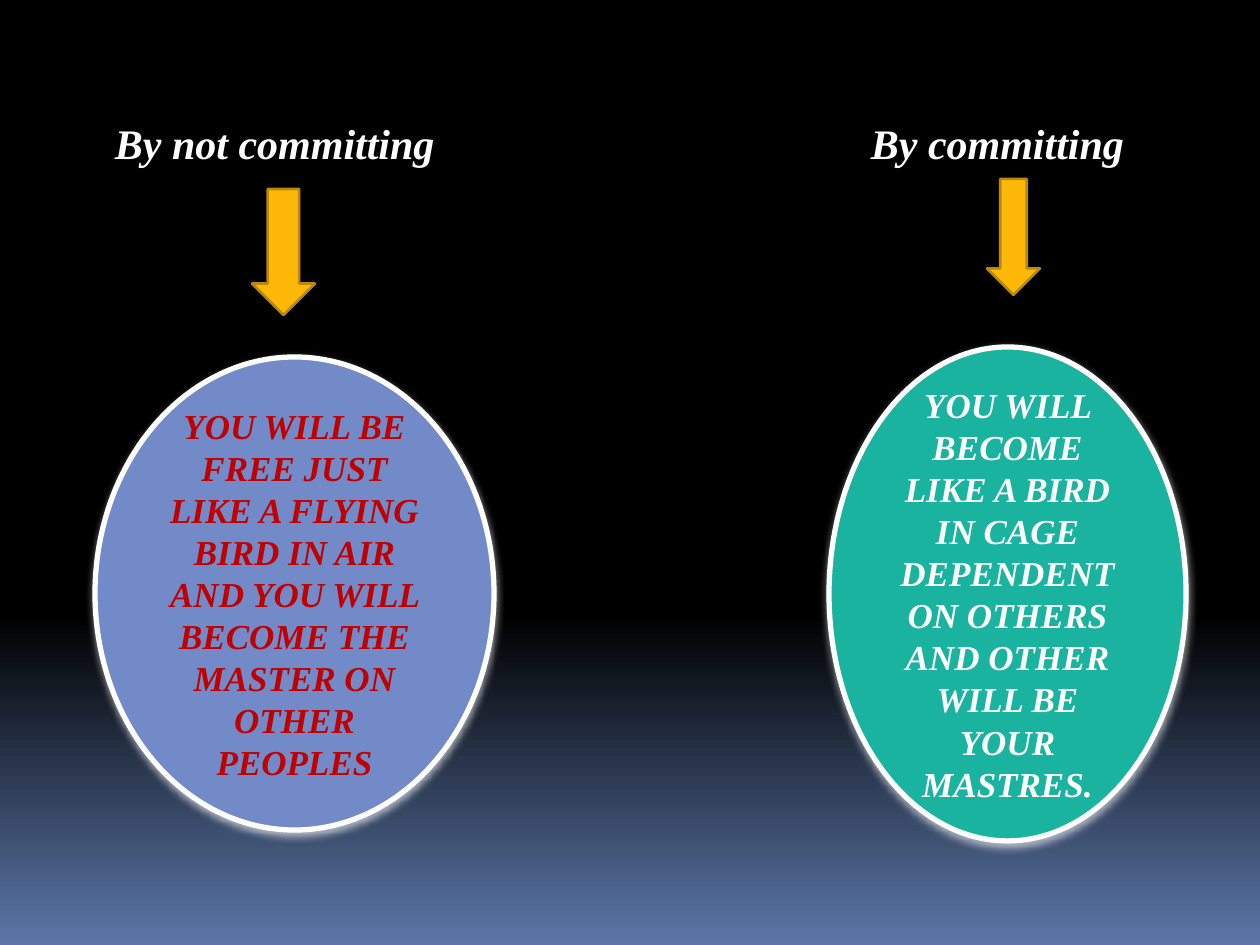
"""Build a slide that contrasts not committing with committing."""
from copy import deepcopy

from lxml.etree import SubElement
from pptx import Presentation
from pptx.dml.color import RGBColor
from pptx.enum.shapes import MSO_SHAPE
from pptx.enum.text import MSO_ANCHOR, PP_ALIGN
from pptx.oxml.ns import qn
from pptx.util import Emu, Pt

EMU_PER_PIXEL = 914400 / 126
BLACK = RGBColor(0x00, 0x00, 0x00)
WHITE = RGBColor(0xFF, 0xFF, 0xFF)
RED = RGBColor(0xC0, 0x00, 0x00)
NIGHT_BLUE = RGBColor(0x5B, 0x77, 0xA8)
PERIWINKLE = RGBColor(0x73, 0x8A, 0xC8)
TEAL = RGBColor(0x1A, 0xB3, 0x9F)
AMBER = RGBColor(0xFE, 0xB8, 0x0A)
DARK_AMBER = RGBColor(0xBC, 0x88, 0x07)

HEADING_BOX = (32, 95, 1176, 95)
HEADING_INDENT = 83
HEADING_TAB = 756
HEADING = "By not committing\tBy committing"
OUTCOMES = [
    ((95, 357, 399, 473), PERIWINKLE, RED,
     "YOU WILL BE FREE JUST LIKE A FLYING BIRD IN AIR AND YOU WILL "
     "BECOME THE MASTER ON OTHER PEOPLES"),
    ((829, 347, 357, 494), TEAL, WHITE,
     "YOU WILL BECOME LIKE A BIRD IN CAGE DEPENDENT ON OTHERS AND OTHER "
     "WILL BE YOUR MASTRES."),
]
ARROWS = [(987, 179, 53, 116), (252, 189, 63, 126)]


def px(length):
    """Turn pixels into EMU."""
    return Emu(round(length * EMU_PER_PIXEL))


def paint_background(slide):
    """Fade the background from black to blue in its lower third."""
    fill = slide.background.fill
    fill.gradient()
    fill.gradient_angle = 270
    first_stop = fill.gradient_stops[0]
    first_stop.color.rgb = BLACK
    first_stop.position = 0
    last_stop = fill.gradient_stops[1]
    last_stop.color.rgb = NIGHT_BLUE
    last_stop.position = 1
    stop_list = slide.background._cSld.find(".//" + qn("a:gsLst"))
    stop_list.insert(1, deepcopy(stop_list[0]))
    fill.gradient_stops[1].position = 0.65


def add_shape(slide, kind, box, fill_color, line_color, line_width):
    """Add a filled and outlined preset shape without a shadow."""
    shape = slide.shapes.add_shape(kind, *map(px, box))
    shape.shadow.inherit = False
    shape.fill.solid()
    shape.fill.fore_color.rgb = fill_color
    shape.line.color.rgb = line_color
    shape.line.width = Pt(line_width)
    return shape


def write_text(shape, text, size, color, alignment):
    """Write one bold italic paragraph in the middle of a shape."""
    frame = shape.text_frame
    frame.word_wrap = True
    frame.vertical_anchor = MSO_ANCHOR.MIDDLE
    paragraph = frame.paragraphs[0]
    paragraph.alignment = alignment
    run = paragraph.add_run()
    run.text = text
    font_format = {"name": "Times New Roman", "size": Pt(size),
                   "bold": True, "italic": True}
    for name, value in font_format.items():
        setattr(run.font, name, value)
    run.font.color.rgb = color
    return paragraph


def add_heading(slide):
    """Add the heading bar with its two titles set apart by a tab stop."""
    shape = add_shape(slide, MSO_SHAPE.RECTANGLE, HEADING_BOX, BLACK, BLACK, 1.5)
    shape.text_frame.margin_left = px(HEADING_INDENT)
    paragraph = write_text(shape, HEADING, 24, WHITE, PP_ALIGN.LEFT)
    tab_list = SubElement(paragraph._p.get_or_add_pPr(), qn("a:tabLst"))
    SubElement(tab_list, qn("a:tab"), pos=str(px(HEADING_TAB)), algn="l")


def add_halo(shape):
    """Add a soft white shadow around a shape."""
    effects = shape._element.spPr.find(qn("a:effectLst"))
    halo = SubElement(effects, qn("a:outerShdw"), blurRad="57150",
                      dist="19050", dir="5400000", algn="ctr", rotWithShape="0")
    color = SubElement(halo, qn("a:srgbClr"), val=str(WHITE))
    SubElement(color, qn("a:alpha"), val="60000")


def add_outcome(slide, box, fill_color, text_color, text):
    """Add an ellipse that tells what follows from a choice."""
    shape = add_shape(slide, MSO_SHAPE.OVAL, box, fill_color, WHITE, 3)
    add_halo(shape)
    write_text(shape, text, 20, text_color, PP_ALIGN.CENTER)


def main():
    """Build and save the presentation."""
    presentation = Presentation()
    presentation.slide_width = px(1260)
    presentation.slide_height = px(945)
    slide = presentation.slides.add_slide(presentation.slide_layouts[6])
    paint_background(slide)
    add_heading(slide)
    for outcome in OUTCOMES:
        add_outcome(slide, *outcome)
    for box in ARROWS:
        add_shape(slide, MSO_SHAPE.DOWN_ARROW, box, AMBER, DARK_AMBER, 1.5)
    presentation.save("out.pptx")


if __name__ == "__main__":
    main()
